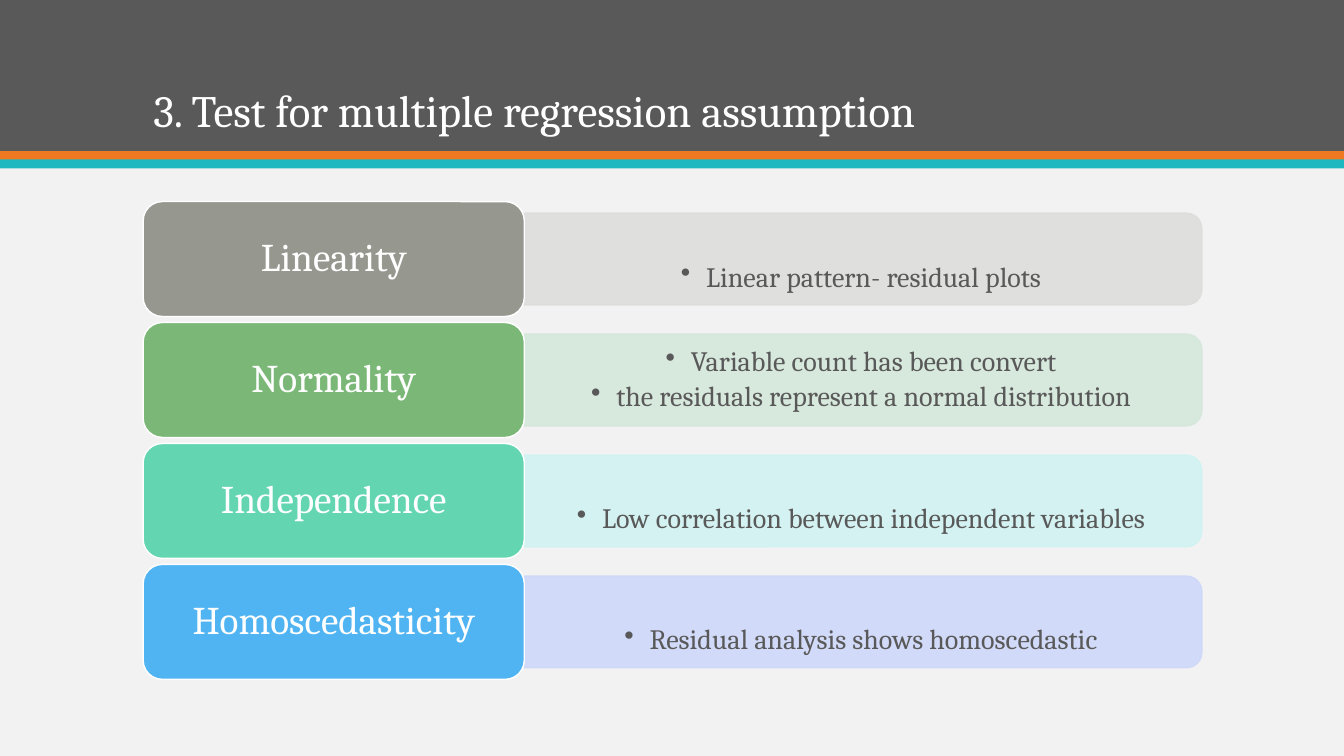
"""Builds the slide on the four assumptions of multiple regression."""
from lxml.etree import SubElement
from pptx import Presentation
from pptx.dml.color import RGBColor
from pptx.enum.shapes import MSO_SHAPE as Kind
from pptx.enum.text import MSO_ANCHOR as Anchor, PP_ALIGN as Align
from pptx.oxml.ns import qn
from pptx.util import Inches, Pt


def paint(shape, fill, line=None, alpha=None):
    shape.shadow.inherit = False
    shape.fill.solid()
    shape.fill.fore_color.rgb = RGBColor.from_string(fill)
    if line:
        shape.line.color.rgb = RGBColor.from_string(line)
        shape.line.width = Pt(1)
    else:
        shape.line.fill.background()
    if alpha:
        for tone in shape._element.spPr.iter(qn("a:srgbClr")):
            SubElement(tone, qn("a:alpha")).set("val", str(alpha * 1000))


def write(shape, *lines, size, color="FFFFFF", align=Align.CENTER, anchor=Anchor.MIDDLE,
          space=0.9, after=0, inset=(0.1, 0.05), bullet=False):
    frame = shape.text_frame
    frame.word_wrap = True
    frame.vertical_anchor = anchor
    frame.margin_left = frame.margin_right = Inches(inset[0])
    frame.margin_top = frame.margin_bottom = Inches(inset[1])
    frame.text = "\n".join(lines)
    for para in frame.paragraphs:
        para.alignment = align
        para.line_spacing = space
        para.space_after = Pt(after)
        font = para.runs[0].font
        font.name, font.size = "Cambria", Pt(size)
        font.color.rgb = RGBColor.from_string(color)
        if bullet:
            para.level = 1
            props = para._p.get_or_add_pPr()
            props.set("marL", str(Inches(0.25)))
            props.set("indent", str(-Inches(0.25)))
            SubElement(props, qn("a:buChar")).set("char", "•")


deck = Presentation()
deck.slide_width, deck.slide_height = Inches(13.33), Inches(7.5)
slide = deck.slides.add_slide(deck.slide_layouts[5])
slide.background.fill.solid()
slide.background.fill.fore_color.rgb = RGBColor.from_string("F2F2F2")
shapes = slide.shapes
title = shapes.title

bands = [(0, 1.5, "595959"), (1.5, 0.09, "EF7920"), (1.58, 0.09, "1EB8C1")]
for top, height, color in bands:
    band = shapes.add_shape(Kind.RECTANGLE, 0, Inches(top), deck.slide_width, Inches(height))
    paint(band, color)
    title._element.addprevious(band._element)

title.left, title.top = Inches(1.42), Inches(0.28)
title.width, title.height = Inches(10.5), Inches(1.13)
write(title, "3. Test for multiple regression assumption", size=32,
      align=Align.LEFT, anchor=Anchor.BOTTOM)

rows = [
    ("Linearity", "969890", "DDDDDB", ["Linear pattern- residual plots"]),
    ("Normality", "7BB878", "D5E7DB", ["Variable count has been convert",
                                       "the residuals represent a normal distribution"]),
    ("Independence", "63D6B1", "D1F2F2", ["Low correlation between independent variables"]),
    ("Homoscedasticity", "50B4F2", "CED8F9", ["Residual analysis shows homoscedastic"]),
]
left, split, first, pitch = 1.42, 5.2, 2, 1.2
tall, long, thick, text = 1.14, 6.72, 0.91, 0.83

for i, (name, dark, light, notes) in enumerate(rows):
    top = first + i * pitch
    mid = top + tall / 2
    bar = shapes.add_shape(Kind.ROUND_2_SAME_RECTANGLE, Inches(split + (long - thick) / 2),
                           Inches(mid - long / 2), Inches(thick), Inches(long))
    bar.rotation = 90
    paint(bar, light, line=light, alpha=90)

    note = shapes.add_textbox(Inches(split), Inches(mid - text / 2), Inches(6.68), Inches(text))
    write(note, *notes, size=20, color="595959", space=2 if len(notes) == 1 else 0.9,
          after=3, inset=(0.08, 0.04), bullet=True)

    label = shapes.add_shape(Kind.ROUNDED_RECTANGLE, Inches(left), Inches(top),
                             Inches(split - left), Inches(tall))
    paint(label, dark, line="FFFFFF")
    write(label, name, size=28, inset=(0.17, 0.12))

deck.save("out.pptx")
